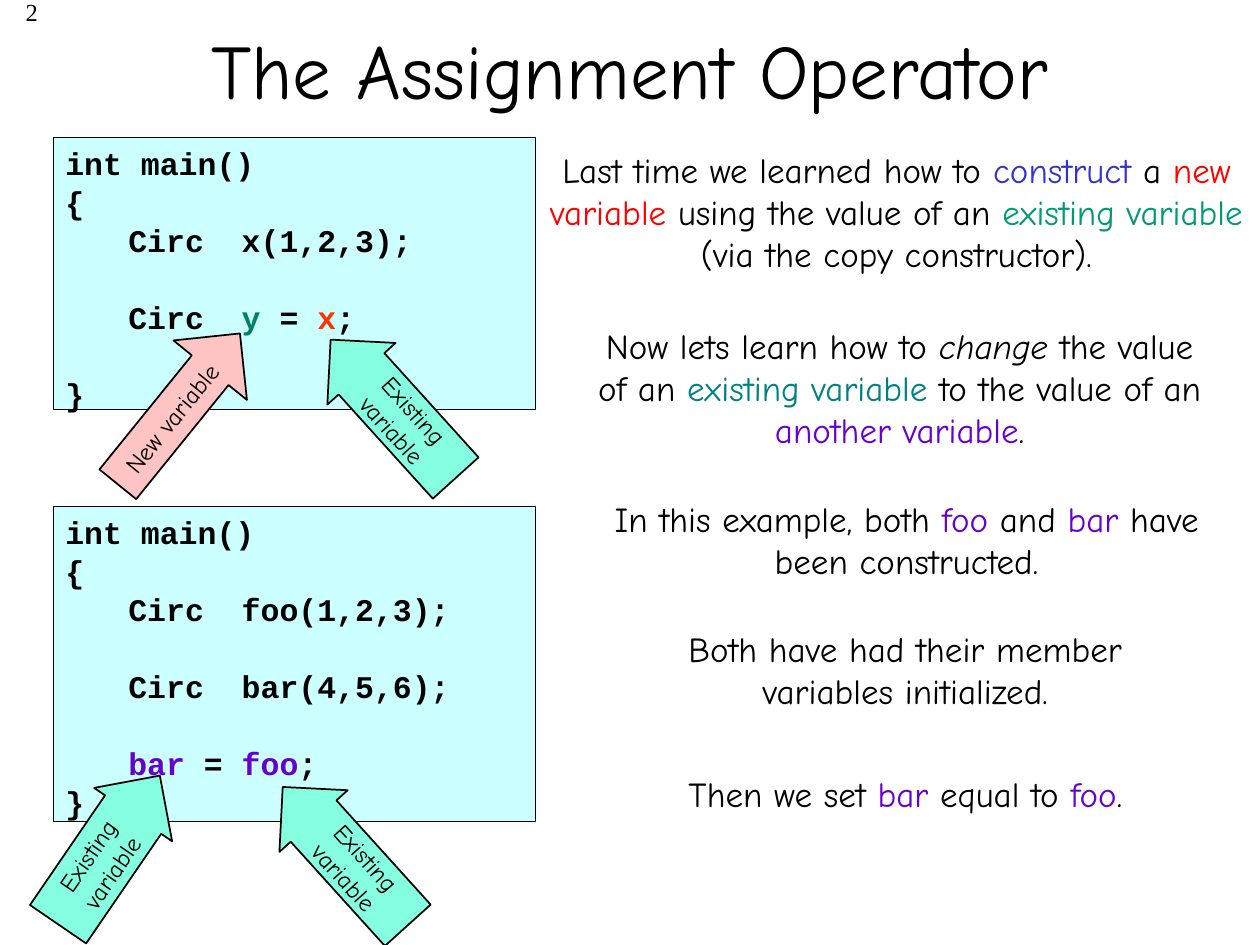
import pptx
import pptx.dml.color
import pptx.enum.shapes
import pptx.enum.text
import pptx.util

CELL = 0.1  # inches; the slide is a grid of 100 columns by 75 rows
HAND, MONO, SERIF = "Comic Neue", "Courier New", "Times New Roman"
BLACK, RED, BLUE, GREEN = "000000", "FF0000", "3333CC", "009973"
TEAL, VIOLET, LEAF, FLAME = "008080", "6600CC", "008260", "FF3300"
CYAN, MINT, PINK = "CCFFFF", "85FFE0", "FFC5C5"

Align = pptx.enum.text.PP_ALIGN
Anchor = pptx.enum.text.MSO_ANCHOR
Shape = pptx.enum.shapes.MSO_SHAPE
Pt = pptx.util.Pt


def hue(code):
    return pptx.dml.color.RGBColor.from_string(code)


def grid(*cells):
    return [pptx.util.Inches(n * CELL) for n in cells]


def write(para, runs, size, font=HAND, bold=False):
    """Add runs, each a text or a (text, colour) or (text, colour, italic)."""
    for item in runs:
        text, color, slant = ((item,) if isinstance(item, str) else item) \
            + (BLACK, False)[(0 if isinstance(item, str) else len(item) - 1):]
        run = para.add_run()
        run.text = text
        run.font.name = font
        run.font.size = Pt(size)
        run.font.bold = bold
        run.font.italic = slant
        run.font.color.rgb = hue(color)


def label(shapes, area, lines, size=20, font=HAND, align=Align.CENTER):
    """Add a text box whose lines share one paragraph."""
    frame = shapes.add_textbox(*grid(*area)).text_frame
    frame.word_wrap = True
    para = frame.paragraphs[0]
    para.alignment = align
    for i, runs in enumerate(lines):
        if i:
            para.add_line_break()
        write(para, runs, size, font)


def solid(shapes, kind, area, fill, width):
    shape = shapes.add_shape(kind, *grid(*area))
    shape.shadow.inherit = False
    shape.fill.solid()
    shape.fill.fore_color.rgb = hue(fill)
    shape.line.color.rgb = hue(BLACK)
    shape.line.width = Pt(width)
    return shape


def code(slide, top, high, lines):
    """Draw a code panel; each line is (has a gap above, runs)."""
    group = slide.shapes.add_group_shape().shapes
    solid(group, Shape.RECTANGLE, (4.2, top, 38.3, high), CYAN, 0.25)
    area = grid(-0.8, top, 42.9, high + 4.7)
    frame = group.add_textbox(*area).text_frame
    frame.word_wrap = True
    for i, (gap, runs) in enumerate(lines):
        para = frame.add_paragraph() if i else frame.paragraphs[0]
        props = para._p.get_or_add_pPr()
        props.set("marL", str(pptx.util.Inches(0.5)))
        props.set("indent", "0")
        para.line_spacing = Pt(22)
        if gap:
            para.space_before = Pt(22)
        write(para, runs, 18, MONO, True)


def arrow(slide, kind, area, turn, fill, text, thick, pad):
    shape = solid(slide.shapes, kind, area, fill, 1)
    shape.rotation = turn
    shape.adjustments[0] = thick
    shape.adjustments[1] = 0.5
    frame = shape.text_frame
    frame.word_wrap = True
    frame.vertical_anchor = Anchor.MIDDLE
    frame.margin_left = frame.margin_right = 0
    frame.margin_top = frame.margin_bottom = pptx.util.Inches(pad)
    para = frame.paragraphs[0]
    para.alignment = Align.CENTER
    write(para, [text], 14)


def head(slide, text):
    title = slide.shapes.title
    title.left, title.top, title.width, title.height = grid(7.5, -0.8, 85, 12.5)
    title.text_frame.vertical_anchor = Anchor.MIDDLE
    para = title.text_frame.paragraphs[0]
    para.alignment = Align.CENTER
    write(para, [text], 44)


def main():
    deck = pptx.Presentation()
    deck.slide_width, deck.slide_height = grid(100, 75)
    slide = deck.slides.add_slide(deck.slide_layouts[5])
    head(slide, "The Assignment Operator")
    label(slide.shapes, (0, -0.7, 4, 5), [["2"]], 14, SERIF, Align.RIGHT)

    notes = [
        ((42.4, 11.3, 57.5, 11.1), [[
            "Last time we learned how to ", ("construct ", BLUE), "a ",
            ("new variable ", RED), "using the value of an ",
            ("existing variable ", GREEN), "(via the copy constructor)."]]),
        ((46.2, 25.3, 50.4, 11), [[
            "Now lets learn how to ", ("change", BLACK, True),
            " the value of an ", ("existing variable ", TEAL),
            "to the value of an ", ("another variable", VIOLET), "."]]),
        ((45.9, 39, 52.1, 7.7), [[
            "In this example, both ", ("foo", VIOLET), " and ",
            ("bar", VIOLET), " have been constructed."]]),
        ((45.8, 49.3, 52.1, 7.7), [
            ["Both have had their member"], ["variables initialized."]]),
        ((45.8, 60.8, 52.1, 4.3), [[
            "Then we set ", ("bar", VIOLET), " equal to ",
            ("foo", VIOLET), "."]]),
    ]
    for area, lines in notes:
        label(slide.shapes, area, lines)

    start = [(False, ["int main()"]), (False, ["{"])]
    code(slide, 40.2, 25, start + [
        (False, ["\tCirc  foo(1,2,3);"]),
        (True, ["\tCirc  bar(4,5,6);"]),
        (True, ["\t", ("bar", VIOLET), " = ", ("foo", VIOLET), ";"]),
        (False, ["}"])])
    code(slide, 10.9, 21.6, start + [
        (False, ["\tCirc  x(1,2,3);"]),
        (True, ["\tCirc  ", ("y", LEAF), " = ", ("x", FLAME), ";"]),
        (True, ["}"])])

    arrow(slide, Shape.RIGHT_ARROW, (6.5, 28.7, 15.4, 7.5), 309, PINK,
          "New variable", 0.5, 0.05)
    for left, top in ((23.8, 28.8), (20, 64.3)):
        arrow(slide, Shape.LEFT_ARROW, (left, top, 14.8, 7.3), 47.9, MINT,
              "Existing variable", 0.67, 0)
    arrow(slide, Shape.RIGHT_ARROW, (1.5, 63.7, 14.3, 7.5), 304.4, MINT,
          "Existing variable", 0.72, 0.05)
    deck.save("out.pptx")


if __name__ == "__main__":
    main()
